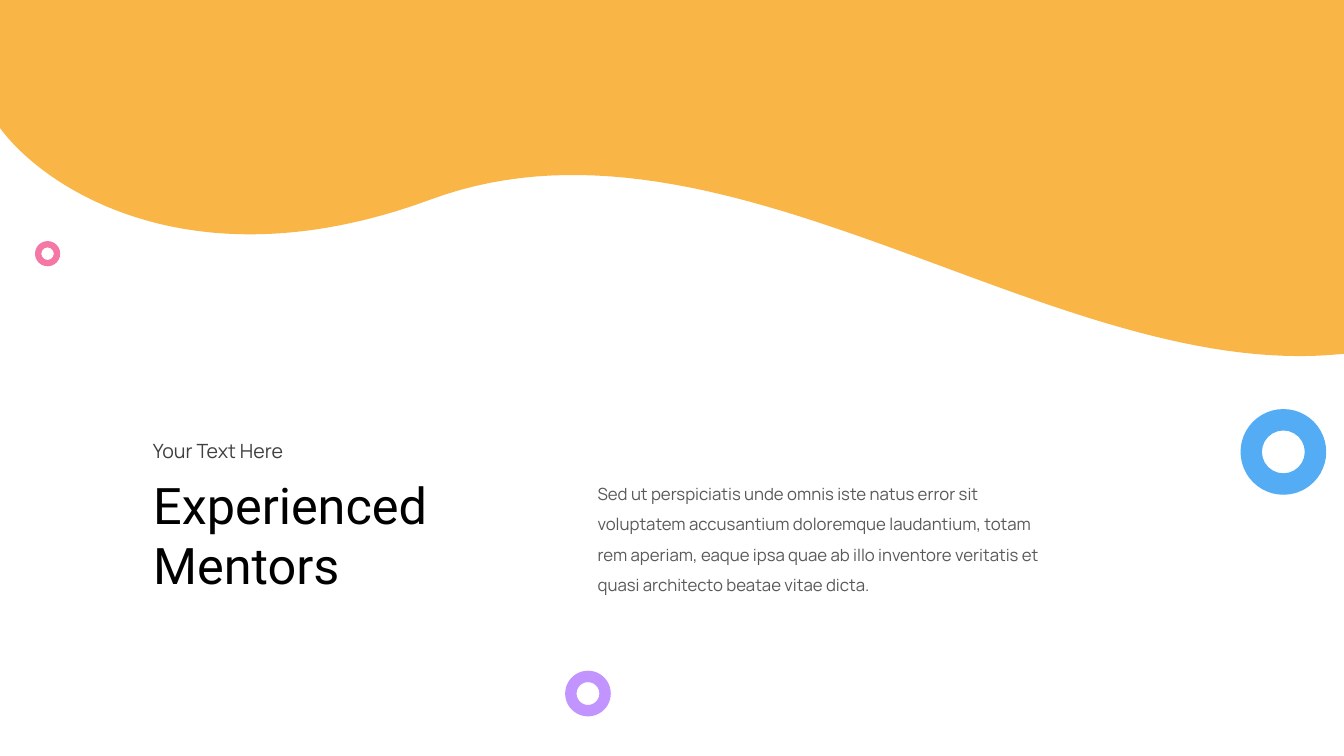
"""Build the Experienced Mentors slide with an orange wave and three rings."""
from pptx import Presentation
from pptx.dml.color import RGBColor
from pptx.enum.shapes import MSO_SHAPE as Shape
from pptx.enum.text import MSO_ANCHOR as Anchor, MSO_AUTO_SIZE as AutoSize, PP_ALIGN as Align
from pptx.util import Pt

WIDTH, HEIGHT = 960, 540
TITLE = "Experienced\nMentors"
KICKER = "Your Text Here"
DESCRIPTION = (
    "Sed ut perspiciatis unde omnis iste natus error sit voluptatem accusantium "
    "doloremque laudantium, totam rem aperiam, eaque ipsa quae ab illo inventore "
    "veritatis et quasi architecto beatae vitae dicta."
)
TITLE_BOX = (102.2, 334.8, 241.2, 94.3)
KICKER_BOX = (102.2, 310.3, 115.9, 24.5)
DESCRIPTION_BOX = (419.8, 334.8, 343.4, 92.9)

WAVE_COLOR = "F9B545"
WAVE_LEFT = [(307.4, 142.6), (137.5, 205.2), (31.7, 134.6), (0, 91.4)]
WAVE_RIGHT = [(WIDTH, 252.7), (753.1, 275), (519.1, 64.1), (307.4, 142.6)]
CURVE_STEPS = 60
RINGS = [
    (886.1, 292.2, 61.2, "54ADF4"),
    (25, 172.2, 18, "F577A5"),
    (403.7, 479.1, 32.6, "C294FF"),
]


def color(hex_code):
    return RGBColor.from_string(hex_code)


def paint(shape, hex_code):
    shape.fill.solid()
    shape.fill.fore_color.rgb = color(hex_code)
    shape.line.fill.background()
    shape.shadow.inherit = False


def curve(start, pull_start, pull_end, end):
    points = []
    for step in range(CURVE_STEPS + 1):
        t = step / CURVE_STEPS
        weights = ((1 - t) ** 3, 3 * t * (1 - t) ** 2, 3 * t * t * (1 - t), t ** 3)
        controls = (start, pull_start, pull_end, end)
        points.append(tuple(sum(w * c[axis] for w, c in zip(weights, controls))
                            for axis in (0, 1)))
    return points


def write(holder, box, text, font_name, size, hex_code, spacing=1.0, wrap=False):
    holder.left, holder.top, holder.width, holder.height = map(Pt, box)
    frame = holder.text_frame
    frame.text = text
    frame.word_wrap = wrap
    frame.auto_size = AutoSize.NONE
    frame.vertical_anchor = Anchor.TOP
    for paragraph in frame.paragraphs:
        paragraph.alignment = Align.LEFT
        paragraph.line_spacing = spacing
        paragraph.font.name = font_name
        paragraph.font.size = Pt(size)
        paragraph.font.color.rgb = color(hex_code)


def main():
    deck = Presentation()
    deck.slide_width, deck.slide_height = Pt(WIDTH), Pt(HEIGHT)
    slide = deck.slides.add_slide(deck.slide_layouts[5])
    shapes = slide.shapes

    outline = curve(*WAVE_LEFT) + [(0, 0), (WIDTH, 0)] + curve(*WAVE_RIGHT)
    first, *rest = [(Pt(x), Pt(y)) for x, y in outline]
    builder = shapes.build_freeform(*first)
    builder.add_line_segments(rest, close=True)
    paint(builder.convert_to_shape(), WAVE_COLOR)

    write(shapes.title, TITLE_BOX, TITLE, "Roboto", 36, "000000")
    kicker = shapes.add_textbox(*map(Pt, KICKER_BOX))
    write(kicker, KICKER_BOX, KICKER, "Manrope", 14, "404040")
    description = shapes.add_textbox(*map(Pt, DESCRIPTION_BOX))
    write(description, DESCRIPTION_BOX, DESCRIPTION, "Manrope", 12, "595959", 1.5, True)

    for left, top, size, ring_color in RINGS:
        ring = shapes.add_shape(Shape.DONUT, Pt(left), Pt(top), Pt(size), Pt(size))
        paint(ring, ring_color)

    deck.save("out.pptx")


if __name__ == "__main__":
    main()
